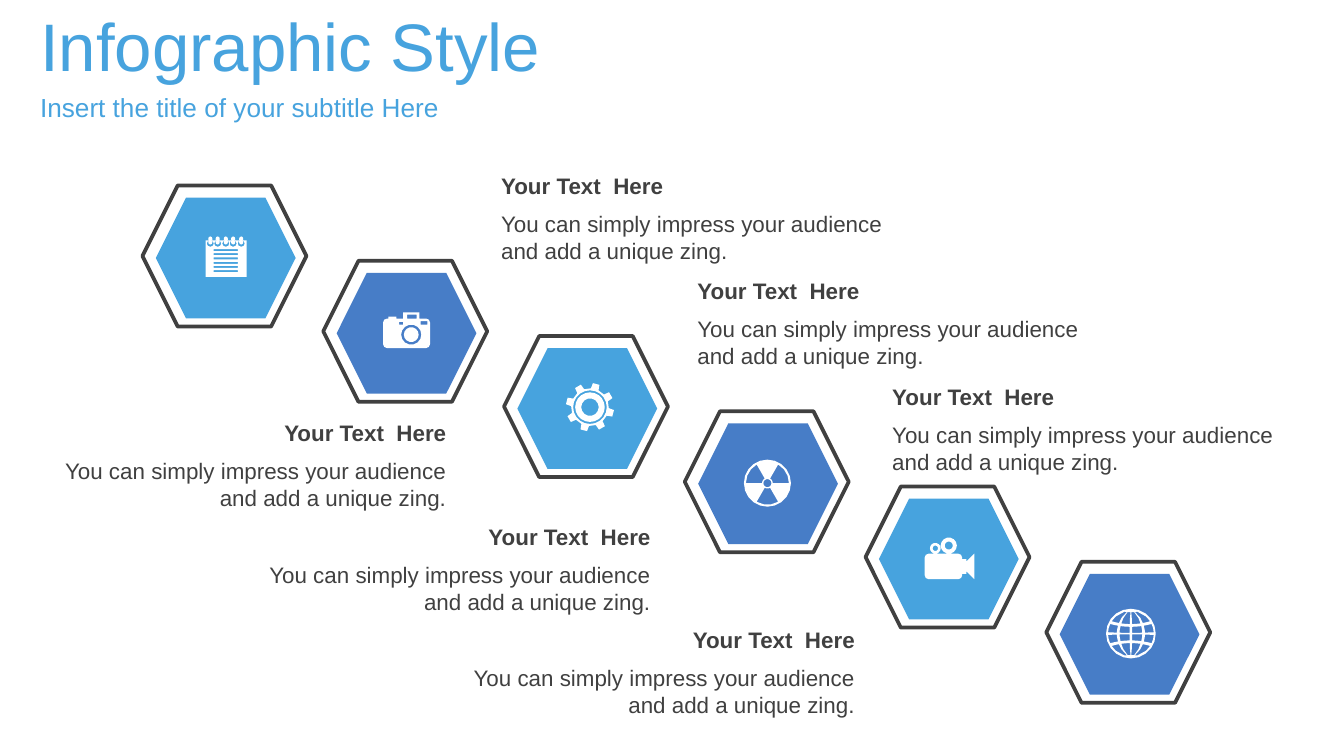
"""Build the Infographic Style slide: six stepped hexagons with icons and captions."""
from dataclasses import dataclass
from math import cos, radians, sin, sqrt

from pptx import Presentation
from pptx import util as u
from pptx.dml.color import RGBColor
from pptx.enum import shapes, text

PX = 4572
Point = tuple[float, float]
Loop = list[Point]


@dataclass(frozen=True)
class Theme:
    font: str = "Arial"
    sky: str = "47A3DE"
    blue: str = "477DC7"
    dark: str = "404040"
    white: str = "FFFFFF"
    title: int = 36
    sub: int = 14
    body: int = 12
    edge: int = 2


@dataclass(frozen=True)
class Box:
    x: int
    y: int
    w: int
    h: int


@dataclass(frozen=True)
class Note:
    x: int
    y: int
    side: text.PP_ALIGN


@dataclass(frozen=True)
class Style:
    size: int
    tint: str
    bold: bool = False
    side: text.PP_ALIGN = text.PP_ALIGN.LEFT


THEME = Theme()
LEFT, RIGHT = text.PP_ALIGN.LEFT, text.PP_ALIGN.RIGHT
NOTES = [
    Note(726, 246, LEFT), Note(1018, 402, LEFT), Note(1308, 560, LEFT),
    Note(48, 614, RIGHT), Note(352, 768, RIGHT), Note(656, 922, RIGHT),
]
HEAD = "Your Text  Here"
BODY = "You can simply impress your audience and add a unique zing."


def color(code: str) -> RGBColor:
    return RGBColor.from_string(code)


def place(box: Box) -> list[int]:
    return [u.Emu(n * PX) for n in (box.x, box.y, box.w, box.h)]


def write(slide, box: Box, words: str, style: Style):
    frame = slide.shapes.add_textbox(*place(box)).text_frame
    frame.word_wrap = True
    para = frame.paragraphs[0]
    para.text = words
    para.alignment = style.side
    font = para.font
    font.name, font.size, font.bold = THEME.font, u.Pt(style.size), style.bold
    font.color.rgb = color(style.tint)
    return frame


def banner(slide, box: Box, words: str, size: int, gap: int) -> None:
    frame = write(slide, box, words, Style(size, THEME.sky))
    frame.vertical_anchor = text.MSO_ANCHOR.BOTTOM
    frame.margin_bottom = u.Emu(gap * PX)


def caption(slide, note: Note) -> None:
    head = Style(THEME.body, THEME.dark, True, note.side)
    body = Style(THEME.body, THEME.dark, False, note.side)
    for box, words, style in (
        (Box(note.x, note.y + 57, 636, 100), BODY, body),
        (Box(note.x, note.y, 636, 60), HEAD, head),
    ):
        frame = write(slide, box, words, style)
        frame.auto_size = text.MSO_AUTO_SIZE.SHAPE_TO_FIT_TEXT


def paint(shape, fill: str, edge: str | None = None) -> None:
    shape.shadow.inherit = False
    shape.fill.solid()
    shape.fill.fore_color.rgb = color(fill)
    if edge:
        shape.line.color.rgb = color(edge)
        shape.line.width = u.Pt(THEME.edge)
    else:
        shape.line.fill.background()


def hexagon(slide, box: Box, fill: str, edge: str | None = None) -> None:
    kind = shapes.MSO_SHAPE.HEXAGON
    paint(slide.shapes.add_shape(kind, *place(box)), fill, edge)


def arc(x: float, y: float, r: float, a: float, b: float, n: int = 3) -> Loop:
    turns = [radians(a + (b - a) * k / n) for k in range(n + 1)]
    return [(x + r * cos(t), y + r * sin(t)) for t in turns]


def disc(x: float, y: float, r: float) -> Loop:
    return arc(x, y, r, 0, 360, 20 if r > 20 else 14)[:-1]


def slab(x: int, y: int, w: int, h: int, r: int = 0) -> Loop:
    if not r:
        return [(x, y), (x + w, y), (x + w, y + h), (x, y + h)]
    hubs = [(x + r, y + r), (x + w - r, y + r),
            (x + w - r, y + h - r), (x + r, y + h - r)]
    return [p for k, (a, b) in enumerate(hubs)
            for p in arc(a, b, r, 180 + 90 * k, 270 + 90 * k, 2)]


def pad() -> list[Loop]:
    loops = [slab(-30, -26, 61, 54)]
    loops += [slab(-18, -13 + 19 * k // 3, 36, 3) for k in range(6)]
    for x in (-23 + 23 * k // 2 for k in range(5)):
        loops += [slab(x - 5, -26, 10, 9, 4), slab(x - 3, -32, 6, 12, 3)]
    return loops


def camera() -> list[Loop]:
    return [
        slab(-35, -22, 70, 44, 6), slab(-5, -31, 24, 9), slab(1, -28, 14, 6),
        slab(-27, -25, 12, 3), slab(-11, -17, 6, 4), slab(21, -18, 10, 5),
        disc(7, 2, 15), disc(7, 2, 11),
    ]


def gear() -> list[Loop]:
    x, y = 4, -2
    teeth = [(x + r * cos(radians(t)), y + r * sin(radians(t)))
             for k in range(8)
             for t, r in ((45 * k + 15 + d, r) for d, r in
                          ((-12, 28), (-8, 36), (8, 36), (12, 28)))]
    return [teeth] + [disc(x, y, r) for r in (25, 22, 13)]


def atom() -> list[Loop]:
    fans = [arc(-1, -1, 32, a, a + 60) + arc(-1, -1, 8, a + 60, a)
            for a in (60, 180, 300)]
    return [disc(-1, -1, 35), disc(-1, -1, 6)] + fans


def film() -> list[Loop]:
    horn = [(26, 4), (38, -8), (38, 30), (26, 18)]
    return [
        slab(-36, -8, 56, 38, 6), slab(20, 0, 6, 22), horn,
        disc(0, -20, 12), disc(0, -20, 6), disc(-20, -16, 8), disc(-20, -16, 4),
    ]


def warp(a: float, b: float) -> Point:
    bend = b * (1 - abs(b)) * (1 - a * a) / 2
    return 2 + 34 * a * sqrt(1 - b * b), -1 + 34 * (b - bend)


def cell(a: Point, b: Point) -> Loop:
    ring = [(a[0], b[0]), (a[1], b[0]), (a[1], b[1]), (a[0], b[1])]
    return [warp(p[0] + (q[0] - p[0]) * k / 2, p[1] + (q[1] - p[1]) * k / 2)
            for p, q in zip(ring, ring[1:] + ring[:1]) for k in range(2)]


def globe() -> list[Loop]:
    cols = [(-1, -0.62), (-0.5, -0.06), (0.06, 0.5), (0.62, 1)]
    rows = [(-0.96, -0.54), (-0.42, -0.06), (0.06, 0.42), (0.54, 0.96)]
    return [disc(2, -1, 37)] + [cell(a, b) for a in cols for b in rows]


def icon(slide, x: int, y: int, loops: list[Loop]) -> None:
    sets = [[(round((x + a) * PX), round((y + b) * PX)) for a, b in loop]
            for loop in loops]
    pen = slide.shapes.build_freeform(*sets[0][0])
    pen.add_line_segments(sets[0][1:])
    for first, *rest in sets[1:]:
        pen.move_to(*first)
        pen.add_line_segments(rest)
    paint(pen.convert_to_shape(), THEME.white)


def main() -> None:
    deck = Presentation()
    deck.slide_width, deck.slide_height = u.Emu(2000 * PX), u.Emu(1125 * PX)
    slide = deck.slides.add_slide(deck.slide_layouts[6])
    banner(slide, Box(40, 0, 1560, 126), "Infographic Style", THEME.title, 0)
    banner(slide, Box(40, 126, 1560, 62),
           "Insert the title of your subtitle Here", THEME.sub, 6)
    for k, draw in enumerate((pad, camera, gear, atom, film, globe)):
        x, y = 212 + 269 * k, 276 + 112 * k
        fill = THEME.blue if k % 2 else THEME.sky
        hexagon(slide, Box(x, y, 244, 210), THEME.white, THEME.dark)
        hexagon(slide, Box(x + 20, y + 18, 208, 180), fill)
        icon(slide, x + 124, y + 108, draw())
    for note in NOTES:
        caption(slide, note)
    deck.save("out.pptx")


if __name__ == "__main__":
    main()
